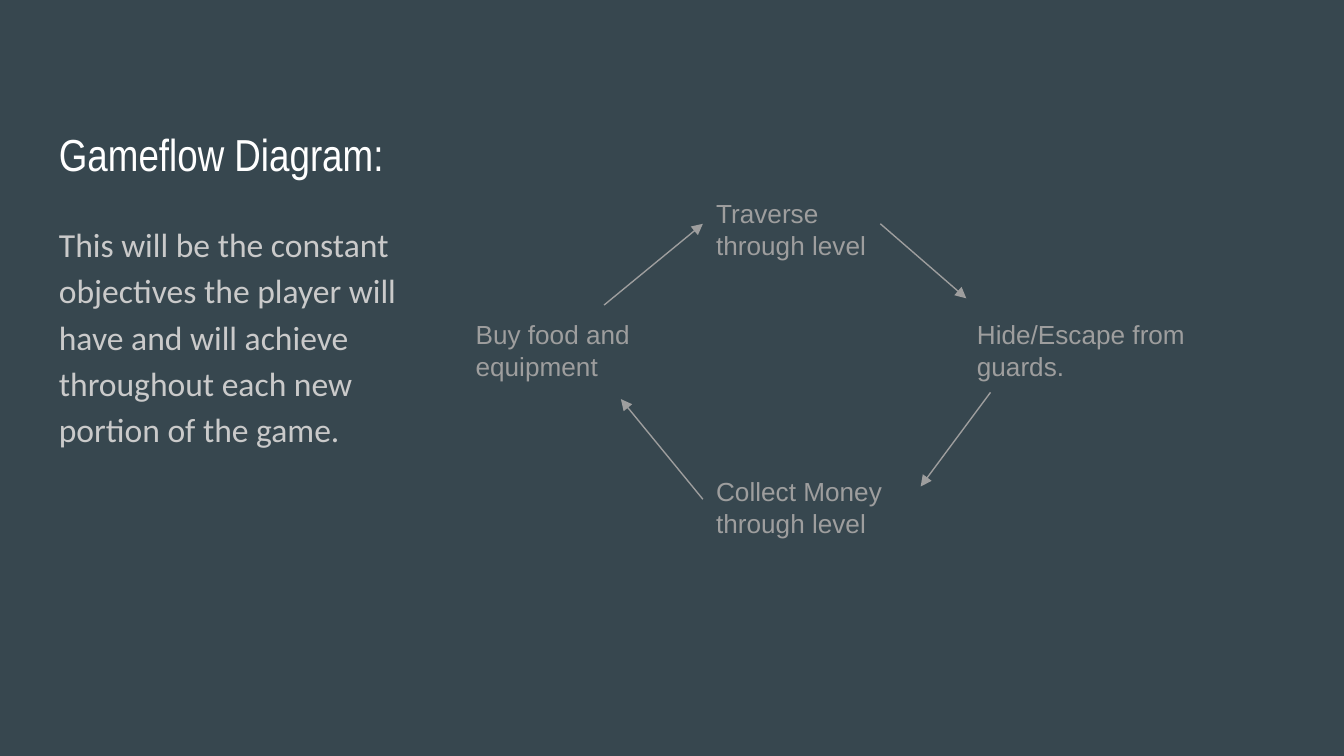
from pptx import Presentation
from pptx.dml.color import RGBColor
from pptx.enum.shapes import MSO_CONNECTOR
from pptx.enum.text import MSO_ANCHOR
from pptx.oxml.ns import qn
from pptx.util import Inches, Pt
from lxml import etree

STRAIGHT = MSO_CONNECTOR.STRAIGHT
TOP, BOTTOM = MSO_ANCHOR.TOP, MSO_ANCHOR.BOTTOM
TOP_SIDE, LEFT_SIDE, RIGHT_SIDE = 0, 1, 3

WIDTH = Inches(10)
HEIGHT = WIDTH * 9 // 16
CELL = WIDTH / 10  # square grid, ten columns across the slide
BACKGROUND, WHITE, LIGHT, GREY = "37474F", "FFFFFF", "CACACA", "9E9E9E"


def color(value):
    return RGBColor.from_string(value)


def grid(*cells):
    return [round(cell * CELL) for cell in cells]


def add_text(slide, box, text, *, size=14, font="Arial", fill=GREY,
             anchor=TOP, line_spacing=None, space_after=None):
    label = slide.shapes.add_textbox(*grid(*box))
    frame = label.text_frame
    frame.word_wrap = True
    frame.vertical_anchor = anchor
    frame.margin_left = frame.margin_right = Inches(0.1)
    frame.margin_top = frame.margin_bottom = Inches(0.1)
    paragraph = frame.paragraphs[0]
    paragraph.line_spacing = line_spacing
    paragraph.space_after = space_after
    run = paragraph.add_run()
    run.text = text
    run.font.size = Pt(size)
    run.font.name = font
    run.font.color.rgb = color(fill)
    return label


def add_arrow(slide, start, end):
    arrow = slide.shapes.add_connector(STRAIGHT, *grid(*start, *end))
    arrow.line.color.rgb = color(GREY)
    arrow.line.width = Pt(0.75)
    # Arrowhead at the end, no shadow
    outline = arrow._element.spPr.find(qn("a:ln"))
    etree.SubElement(outline, qn("a:tailEnd"), type="triangle")
    etree.SubElement(arrow._element.spPr, qn("a:effectLst"))
    return arrow


def add_intro(slide, box):
    left, top, width, height = box
    title_height = 0.83
    body_top = top + title_height + 0.08
    add_text(slide, (left, top, width, title_height), "Gameflow Diagram:",
             size=24, font="Arial Narrow", fill=WHITE, anchor=BOTTOM)
    add_text(slide, (left, body_top, width, top + height - body_top),
             "This will be the constant objectives the player will have and "
             "will achieve throughout each new portion of the game.",
             size=18, font="Calibri", fill=LIGHT,
             line_spacing=1.15, space_after=Pt(16))


def add_cycle(slide, box):
    left, top, width, height = box
    middle, center = top + 0.9, left + 1.79
    right, bottom = left + width, top + height

    # Steps of the game loop
    traverse = add_text(slide, (center, top, 1.32, 0.59), "Traverse through level")
    add_text(slide, (right - 2.21, middle, 2.21, 0.68), "Hide/Escape from guards.")
    collect = add_text(slide, (center, bottom - 0.55, 1.94, 0.55),
                       "Collect Money through level")
    buy = add_text(slide, (left, middle, 2.11, 0.55), "Buy food and equipment")

    # Arrows, clockwise from the left step
    upper, lower = top + 0.29, bottom - 0.27
    buy_to_traverse = add_arrow(slide, (left + 1.06, middle), (center, upper))
    buy_to_traverse.begin_connect(buy, TOP_SIDE)
    buy_to_traverse.end_connect(traverse, LEFT_SIDE)
    traverse_to_hide = add_arrow(slide, (center + 1.32, upper),
                                 (right - 2.19, middle - 0.05))
    traverse_to_hide.begin_connect(traverse, RIGHT_SIDE)
    add_arrow(slide, (right - 2.01, middle + 0.65), (right - 2.53, bottom - 0.37))
    collect_to_buy = add_arrow(slide, (center, lower), (left + 1.18, middle + 0.7))
    collect_to_buy.begin_connect(collect, LEFT_SIDE)


def main():
    deck = Presentation()
    deck.slide_width, deck.slide_height = WIDTH, HEIGHT
    slide = deck.slides.add_slide(deck.slide_layouts[6])
    slide.background.fill.solid()
    slide.background.fill.fore_color.rgb = color(BACKGROUND)
    add_intro(slide, (0.34, 0.61, 3.07, 4.39))
    add_cycle(slide, (3.44, 1.37, 5.94, 2.62))
    deck.save("out.pptx")


if __name__ == "__main__":
    main()
